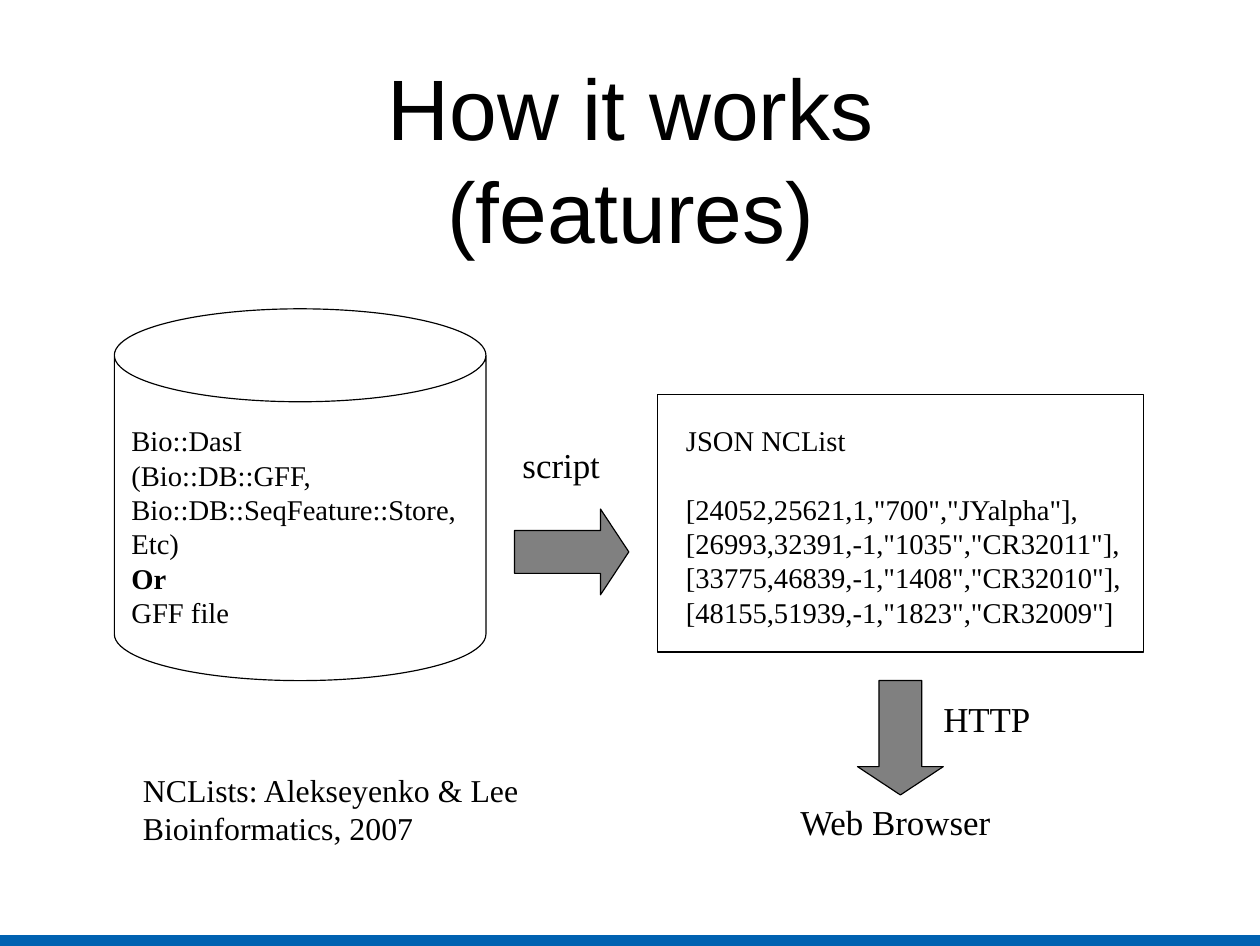
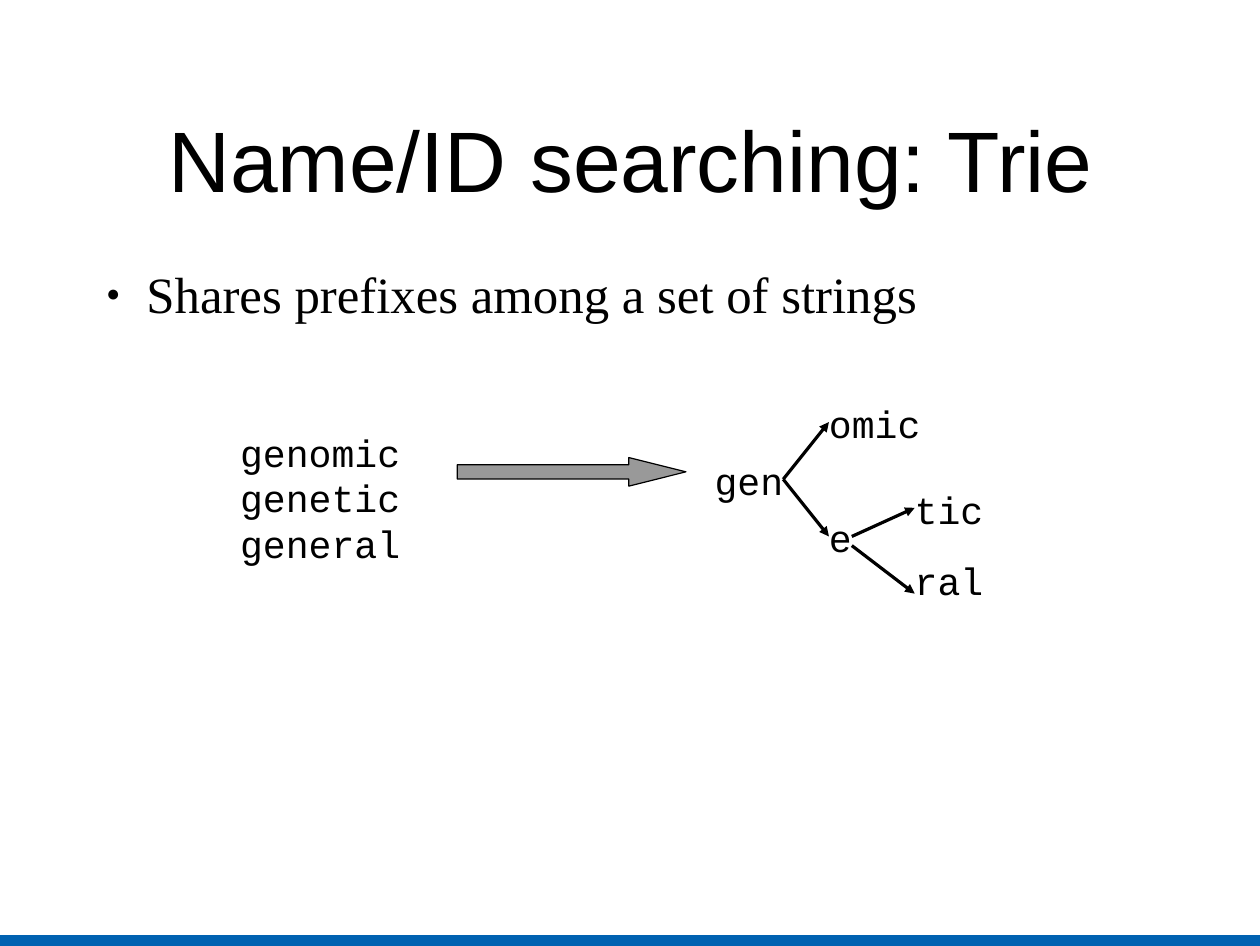
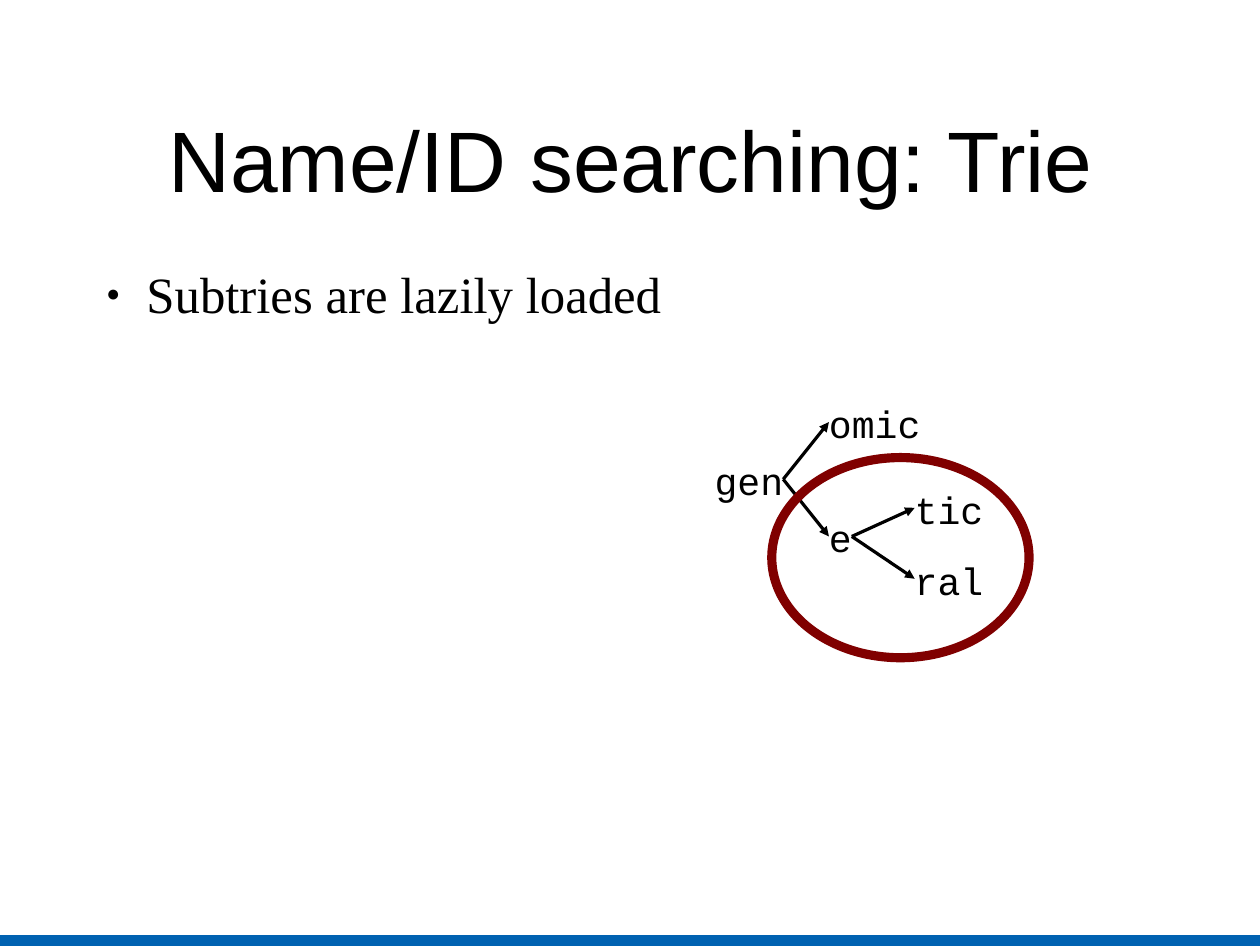
from lxml import etree
from pptx import Presentation
from pptx.dml.color import RGBColor
from pptx.enum.shapes import MSO_CONNECTOR, MSO_SHAPE
from pptx.enum.text import MSO_ANCHOR, MSO_AUTO_SIZE, PP_ALIGN
from pptx.oxml.ns import qn
from pptx.util import Inches, Pt

BLACK = RGBColor(0x00, 0x00, 0x00)
BLUE = RGBColor(0x00, 0x62, 0xB1)
GRAY = RGBColor(0x80, 0x80, 0x80)
PALE = RGBColor(0x99, 0x99, 0x99)
MAROON = RGBColor(0x80, 0x00, 0x00)

RECT, CAN, OVAL = MSO_SHAPE.RECTANGLE, MSO_SHAPE.CAN, MSO_SHAPE.OVAL
RIGHT, DOWN = MSO_SHAPE.RIGHT_ARROW, MSO_SHAPE.DOWN_ARROW
LINE = MSO_CONNECTOR.STRAIGHT
TOP, MIDDLE = MSO_ANCHOR.TOP, MSO_ANCHOR.MIDDLE
LEFT, CENTER = PP_ALIGN.LEFT, PP_ALIGN.CENTER
FIXED = MSO_AUTO_SIZE.NONE

WIDE, HIGH = 11.02, 8.27
SLACK = 0.15  # spare width that keeps short labels on one line


def style(size, name):
    return {"size": Pt(size), "name": name, "bold": False}


HEAD = style(54, "Arial")
LIST = style(32, "Times New Roman")
LABEL = style(22, "Times New Roman")
CITE = style(20, "Times New Roman")
NOTE = style(18, "Times New Roman")
CODE = style(24, "Courier New")


def place(shape, box):
    for key, val in zip(("left", "top", "width", "height"), box):
        setattr(shape, key, Inches(val))


def frame(shape, anchor=TOP):
    tf = shape.text_frame
    form = {"word_wrap": True, "auto_size": FIXED, "vertical_anchor": anchor,
            "margin_left": 0, "margin_top": 0,
            "margin_right": 0, "margin_bottom": 0}
    for key, val in form.items():
        setattr(tf, key, val)
    return tf


def write(para, text, form):
    run = para.add_run()
    run.text = text
    for key, val in form.items():
        setattr(run.font, key, val)
    run.font.color.rgb = BLACK
    return run


def label(slide, box, lines, form):
    """Add a text box with one paragraph for each line."""
    x, y, w, h = box
    shape = slide.shapes.add_textbox(0, 0, 0, 0)
    place(shape, (x, y, w + SLACK, h))
    tf = frame(shape)
    for i, text in enumerate(lines):
        para = tf.add_paragraph() if i else tf.paragraphs[0]
        para.alignment = LEFT
        write(para, text, form)
    return tf.paragraphs


def draw(slide, kind, box, fill=None, line=BLACK, width=0, adj=()):
    shape = slide.shapes.add_shape(kind, 0, 0, 0, 0)
    place(shape, box)
    shape.shadow.inherit = False
    if fill is None:
        shape.fill.background()
    else:
        shape.fill.solid()
        shape.fill.fore_color.rgb = fill
    shape.line.color.rgb = line
    shape.line.width = Pt(width)
    for i, val in enumerate(adj):
        shape.adjustments[i] = val
    return shape


def link(slide, start, end):
    """Add a hairline that ends in an arrowhead."""
    line = slide.shapes.add_connector(
        LINE, *(Inches(val) for val in (*start, *end)))
    line.line.color.rgb = BLACK
    line.line.width = Pt(0)
    prop = line.element.spPr
    etree.SubElement(prop.find(qn("a:ln")), qn("a:tailEnd"), type="triangle")
    etree.SubElement(prop, qn("a:effectLst"))


def band(deck, slide):
    """Draw the bottom band and hand it to the master."""
    bar = draw(slide, RECT, (0, 8.18, WIDE, 0.09), BLUE, BLUE)
    deck.slide_master.element.cSld.spTree.append(bar.element)


def title(slide, box, lines):
    shape = slide.shapes.title
    place(shape, box)
    para = frame(shape, MIDDLE).paragraphs[0]
    para.alignment = CENTER
    for i, text in enumerate(lines):
        if i:
            para.add_line_break()
        write(para, text, HEAD)


def bullet(slide, box, text):
    shape = slide.placeholders[1]
    place(shape, box)
    para = frame(shape).paragraphs[0]
    prop = para._p.get_or_add_pPr()
    prop.set("marL", str(Inches(0.47)))
    prop.set("indent", str(Inches(-0.35)))
    tint = etree.SubElement(prop, qn("a:buClr"))
    etree.SubElement(tint, qn("a:srgbClr"), val=str(BLACK))
    etree.SubElement(prop, qn("a:buSzPct"), val="45000")
    etree.SubElement(prop, qn("a:buChar"), char="●")
    para.space_before, para.space_after = Pt(0), Pt(14.2)
    write(para, text, LIST)


def store(slide, box):
    """Cylinder with the data sources."""
    x, y, w, h = box
    draw(slide, CAN, box, adj=[0.25])
    paras = label(slide, (x + 0.15, y + 1, w - 0.4, 1.84), [
        "Bio::DasI", "(Bio::DB::GFF,", "Bio::DB::SeqFeature::Store,",
        "Etc)", "Or", "GFF file"], NOTE)
    paras[4].runs[0].font.bold = True


def listing(slide, box):
    """Framed JSON rows."""
    x, y, w, h = box
    paras = label(slide, (x + 0.25, y + 0.25, w - 0.4, h - 0.25), [
        "JSON NCList",
        '[24052,25621,1,"700","JYalpha"],',
        '[26993,32391,-1,"1035","CR32011"],',
        '[33775,46839,-1,"1408","CR32010"],',
        '[48155,51939,-1,"1823","CR32009"]'], NOTE)
    paras[1].space_before = Pt(21.5)
    draw(slide, RECT, box)


def trie(slide, x, y, drop=(0, 0)):
    """Prefix tree; drop lowers the two ends of the last link."""
    nodes = {"gen": (0, 0.5, 0.6), "omic": (1, 0, 0.8), "e": (1, 1, 0.2),
             "tic": (1.75, 0.75, 0.6), "ral": (1.75, 1.37, 0.6)}
    for text, (dx, dy, w) in nodes.items():
        label(slide, (x + dx, y + dy, w, 0.38), [text], CODE)
    links = [("gen", "omic", 0, 0), ("gen", "e", 0, 0),
             ("e", "tic", 0, 0), ("e", "ral", *drop)]
    mid = y + 0.19
    for src, dst, low, sink in links:
        sx, sy, w = nodes[src]
        ex, ey, _ = nodes[dst]
        link(slide, (x + sx + w, mid + sy + low), (x + ex, mid + ey + sink))


def works(slide):
    title(slide, (0.81, 0.45, 9.41, 1.86), ["How it works", "(features)"])
    store(slide, (1, 2.7, 3.25, 3.25))
    listing(slide, (5.75, 3.45, 4.25, 2.25))
    # Flow arrows and their labels
    for kind, box in ((RIGHT, (4.5, 4.45, 1, 0.75)),
                      (DOWN, (7.5, 5.95, 0.75, 1))):
        draw(slide, kind, box, GRAY, adj=[0.5, 0.33])
    for text, box in (("script", (4.57, 3.88, 0.68, 0.37)),
                      ("HTTP", (8.25, 6.1, 0.76, 0.4)),
                      ("Web Browser", (7, 7, 1.69, 0.37))):
        label(slide, box, [text], LABEL)
    label(slide, (1.25, 6.74, 3.3, 1.01),
          ["NCLists: Alekseyenko & Lee", "Bioinformatics, 2007"], CITE)


def search(slide, text, drop=(0, 0)):
    title(slide, (0.81, 0.69, 9.41, 1.38), ["Name/ID searching: Trie"])
    bullet(slide, (0.81, 2.3, 9.41, 5.21), text)
    trie(slide, 6.25, 3.5, drop)


def main():
    deck = Presentation()
    deck.slide_width, deck.slide_height = Inches(WIDE), Inches(HIGH)
    plain, body = deck.slide_layouts[5], deck.slide_layouts[1]

    # How it works
    slide = deck.slides.add_slide(plain)
    band(deck, slide)
    works(slide)

    # Words turned into a trie
    slide = deck.slides.add_slide(body)
    search(slide, "Shares prefixes among a set of strings", (0.08, 0.13))
    label(slide, (2.1, 3.75, 1.4, 1.14),
          ["genomic", "genetic", "general"], CODE)
    draw(slide, RIGHT, (4, 4, 2, 0.25), PALE, adj=[0.5, 2])

    # Lazily loaded part, ringed
    slide = deck.slides.add_slide(body)
    search(slide, "Subtries are lazily loaded")
    draw(slide, OVAL, (6.75, 4, 2.25, 1.75), line=MAROON, width=5.75)

    deck.save("out.pptx")


if __name__ == "__main__":
    main()
